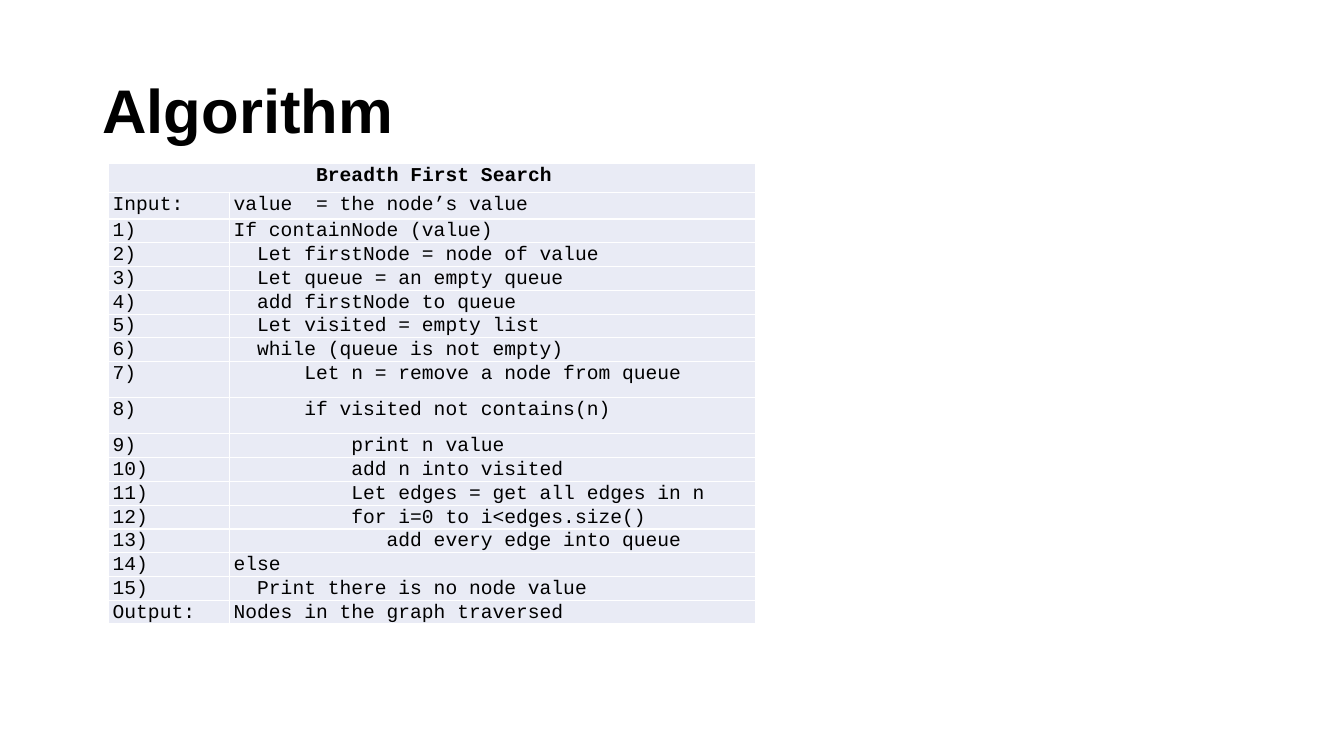
from dataclasses import dataclass

import lxml.etree
import pptx
import pptx.dml.color
import pptx.enum.text
import pptx.oxml.ns
import pptx.slide
import pptx.table
import pptx.util

Pt = pptx.util.Pt
Align = pptx.enum.text.PP_ALIGN


@dataclass(frozen=True)
class Theme:
    ink: str = "000000"
    cell_fill: str = "E9EBF5"
    border: str = "FFFFFF"
    title_font: str = "Arial"
    code_font: str = "Courier New"
    title_size: float = 44
    code_size: float = 14
    border_width: float = 1


@dataclass(frozen=True)
class Step:
    label: str
    code: str
    height: float = 17


THEME = Theme()
HEADING = "Breadth First Search"
HEADING_HEIGHT = 21
COLUMN_WIDTHS = (86.4, 375.84)
CELL_INDENT = 3

# Lines of the algorithm
CODE_LINES = (
    "If containNode (value)",
    "  Let firstNode = node of value",
    "  Let queue = an empty queue",
    "  add firstNode to queue",
    "  Let visited = empty list",
    "  while (queue is not empty)",
    "      Let n = remove a node from queue",
    "      if visited not contains(n)",
    "          print n value",
    "          add n into visited",
    "          Let edges = get all edges in n",
    "          for i=0 to i<edges.size()",
    "             add every edge into queue",
    "else",
    "  Print there is no node value",
)
TALL_LINES = {7: 25.8, 8: 25.8}
STEPS = (
    Step("Input:", "value  = the node’s value", 18.7),
    *(Step(f"{number})", code, TALL_LINES.get(number, 17))
      for number, code in enumerate(CODE_LINES, start=1)),
    Step("Output:", "Nodes in the graph traversed"),
)


def rgb(color: str) -> pptx.dml.color.RGBColor:
    return pptx.dml.color.RGBColor.from_string(color)


def format_font(font: pptx.text.text.Font, name: str, size: float, bold: bool) -> None:
    font.name = name
    font.size = Pt(size)
    font.bold = bold
    font.color.rgb = rgb(THEME.ink)


def format_cell(cell: pptx.table._Cell) -> None:
    """Give a cell its borders, fill and zero margins."""
    qn = pptx.oxml.ns.qn
    properties = cell._tc.get_or_add_tcPr()
    for side in ("lnL", "lnR", "lnT", "lnB"):
        line = lxml.etree.SubElement(
            properties, qn(f"a:{side}"), w=str(Pt(THEME.border_width)))
        fill = lxml.etree.SubElement(line, qn("a:solidFill"))
        lxml.etree.SubElement(fill, qn("a:srgbClr"), val=THEME.border)
    cell.fill.solid()
    cell.fill.fore_color.rgb = rgb(THEME.cell_fill)
    cell.margin_left = cell.margin_right = cell.margin_top = cell.margin_bottom = 0


def write_cell(cell: pptx.table._Cell, text: str, align: Align = Align.LEFT,
               bold: bool = False) -> None:
    cell.text = text
    paragraph = cell.text_frame.paragraphs[0]
    paragraph._p.get_or_add_pPr().set("marL", str(Pt(CELL_INDENT)))
    paragraph.alignment = align
    paragraph.line_spacing = 1.07
    paragraph.space_after = Pt(8)
    format_font(paragraph.font, THEME.code_font, THEME.code_size, bold)


def add_title(slide: pptx.slide.Slide, text: str) -> None:
    title = slide.shapes.title
    title.left, title.top, title.width, title.height = (
        Pt(66), Pt(28.8), Pt(828), Pt(104.4))
    title.text_frame.text = text
    title.text_frame.vertical_anchor = pptx.enum.text.MSO_ANCHOR.MIDDLE
    paragraph = title.text_frame.paragraphs[0]
    paragraph.alignment = Align.LEFT
    paragraph.line_spacing = 0.9
    format_font(paragraph.font, THEME.title_font, THEME.title_size, True)


def add_algorithm(slide: pptx.slide.Slide) -> None:
    heights = (HEADING_HEIGHT, *(step.height for step in STEPS))
    algorithm = slide.shapes.add_table(
        len(heights), len(COLUMN_WIDTHS), Pt(77.5), Pt(116.8),
        Pt(sum(COLUMN_WIDTHS)), Pt(sum(heights))).table
    algorithm.first_row = algorithm.horz_banding = False
    for column, width in zip(algorithm.columns, COLUMN_WIDTHS):
        column.width = Pt(width)
    for row, height in zip(algorithm.rows, heights):
        row.height = Pt(height)
    for cell in algorithm.iter_cells():
        format_cell(cell)

    # Heading across both columns
    heading = algorithm.cell(0, 0)
    heading.merge(algorithm.cell(0, 1))
    write_cell(heading, HEADING, Align.CENTER, bold=True)

    # Numbered steps
    for index, step in enumerate(STEPS, start=1):
        write_cell(algorithm.cell(index, 0), step.label)
        write_cell(algorithm.cell(index, 1), step.code)


def main() -> None:
    deck = pptx.Presentation()
    deck.slide_width, deck.slide_height = Pt(960), Pt(540)
    slide = deck.slides.add_slide(deck.slide_layouts.get_by_name("Title Only"))
    add_title(slide, "Algorithm")
    add_algorithm(slide)
    deck.save("out.pptx")


if __name__ == "__main__":
    main()
